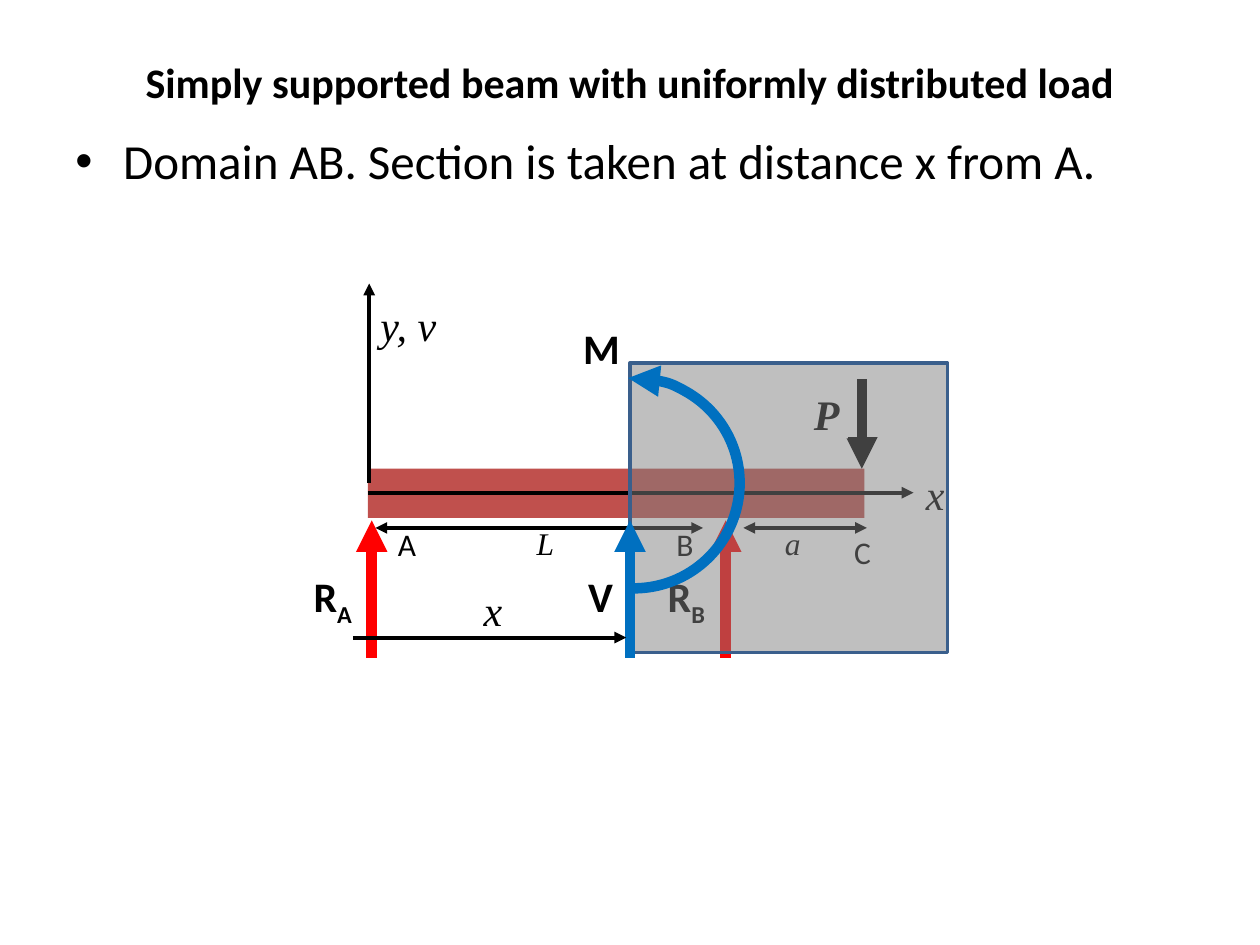
import pptx
import pptx.util
import pptx.dml.color
import pptx.enum.shapes
import pptx.enum.text
import pptx.oxml
from lxml import etree

Inches = pptx.util.Inches
Pt = pptx.util.Pt
KIND = pptx.enum.shapes.MSO_SHAPE
ALIGN = pptx.enum.text.PP_ALIGN
ANCHOR = pptx.enum.text.MSO_ANCHOR
SANS, SERIF = "Calibri", "Times New Roman"
BLACK, RED, BLUE = "000000", "FF0000", "0070C0"


def paint(fmt, color):
    """Give a fill, line fill or font fill a solid colour."""
    fmt.solid()
    fmt.fore_color.rgb = pptx.dml.color.RGBColor.from_string(color)


def style(run, size, face=SANS, bold=False, italic=False):
    """Format one run in black."""
    font = run.font
    font.size, font.name = Pt(size), face
    font.bold, font.italic = bold, italic
    paint(font.fill, BLACK)


def stroke(shape, color, width, **ends):
    """Set a line's colour, width and arrowheads (headEnd, tailEnd)."""
    paint(shape.line.fill, color)
    shape.line.width = Pt(width)
    line = shape.line._get_or_add_ln()
    for name in sorted(ends):
        etree.SubElement(line, pptx.oxml.ns.qn("a:" + name), type=ends[name])


def title(slide, box, text):
    """Place and format the title."""
    head = slide.shapes.title
    head.left, head.top, head.width, head.height = map(Inches, box)
    frame = head.text_frame
    frame.text = text
    frame.vertical_anchor = ANCHOR.MIDDLE
    frame.paragraphs[0].alignment = ALIGN.CENTER
    style(frame.paragraphs[0].runs[0], 24, bold=True)


def body(slide, box, text):
    """Place the bulleted statement."""
    frame = slide.shapes.add_textbox(*map(Inches, box)).text_frame
    frame.word_wrap = True
    para = frame.paragraphs[0]
    para.text = text
    para.space_before = Pt(5.6)
    style(para.runs[0], 28)
    props = para._p.get_or_add_pPr()
    props.set("marL", str(Inches(0.38)))
    props.set("indent", str(Inches(-0.38)))
    etree.SubElement(props, pptx.oxml.ns.qn("a:buFont"), typeface="Arial")
    etree.SubElement(props, pptx.oxml.ns.qn("a:buChar"), char="•")


def beam(slide, box):
    """Draw the beam, its forces and the cut section inside a box."""
    left, top = box[:2]
    shapes = slide.shapes.add_group_shape().shapes

    def arrow(x1, y1, x2, y2, color=BLACK, width=2.25, both=False):
        """Add an arrow, with two heads for a dimension."""
        link = shapes.add_connector(
            pptx.enum.shapes.MSO_CONNECTOR.STRAIGHT,
            Inches(left + x1), Inches(top + y1),
            Inches(left + x2), Inches(top + y2))
        ends = {"headEnd": "triangle"} if both else {}
        stroke(link, color, width, tailEnd="triangle", **ends)
        etree.SubElement(link._element.spPr, pptx.oxml.ns.qn("a:effectLst"))

    def form(kind, x, y, wide, high, fill=None):
        """Add a preset shape without shadow or outline."""
        shape = shapes.add_shape(kind, Inches(left + x), Inches(top + y),
                                 Inches(wide), Inches(high))
        shape.shadow.inherit = False
        shape.line.fill.background()
        if fill:
            paint(shape.fill, fill)
        else:
            shape.fill.background()
        return shape

    def label(text, x, y, size=18, wide=0.39, sub="", **look):
        """Add a short label with an optional subscript."""
        item = shapes.add_textbox(Inches(left + x), Inches(top + y),
                                  Inches(wide), Inches(size / 60 + 0.1))
        item.text_frame.word_wrap = True
        para = item.text_frame.paragraphs[0]
        para.text = text
        if sub:
            para.add_run().text = sub
            para.runs[1].font._element.set("baseline", "-25000")
        for run in para.runs:
            style(run, size, **look)

    def force(x, color):
        """Add an upward force below the beam."""
        arrow(x, 3.22, x, 2.13, color, 6)

    math = {"face": SERIF, "italic": True}
    for x, sub in ((0.95, "A"), (3.76, "B")):
        force(x, RED)
        label("R", x - 0.56, 2.48, 24, 0.59, sub, bold=True)
    form(KIND.RECTANGLE, 0.92, 1.72, 3.94, 0.39, "C0504D")
    for text, x, y in (("A", 1.06, 2.12), ("B", 3.27, 2.12), ("C", 4.68, 2.18)):
        label(text, x, y)

    arrow(4.84, 1.01, 4.84, 1.72, width=6)
    load = form(KIND.RECTANGLE, 4.38, 1.08, 0.35, 0.4, "FFFFFF").text_frame
    load.text = "P"
    load.margin_left = Inches(0.08)
    load.margin_top = load.margin_right = load.margin_bottom = 0
    load.vertical_anchor = ANCHOR.TOP
    load.paragraphs[0].alignment = ALIGN.LEFT
    style(load.paragraphs[0].runs[0], 24, bold=True, **math)

    for text, x, start, end in (("L", 2.16, 0.98, 3.58), ("a", 4.13, 3.9, 4.88)):
        arrow(start, 2.19, end, 2.19, both=True)
        label(text, x, 2.11, **math)
    arrow(0.93, 1.83, 0.93, 0.25)
    arrow(0.92, 1.91, 5.25, 1.91)
    label("y, v", 0.92, 0.33, 24, 0.79, **math)
    label("x", 5.25, 1.67, 24, **math)

    mask = form(KIND.RECTANGLE, 3, 0.88, 2.52, 2.3, "808080")
    tint = mask._element.spPr.find(".//" + pptx.oxml.ns.qn("a:srgbClr"))
    etree.SubElement(tint, pptx.oxml.ns.qn("a:alpha"), val="50000")
    stroke(mask, "3A5F8C", 2)

    force(3, BLUE)
    moment = form(KIND.ARC, 2.19, 1, 1.68, 1.67)
    moment.adjustments[0] = 160.2
    moment.adjustments[1] = 54.2
    stroke(moment, BLUE, 6, headEnd="triangle")
    label("V", 2.57, 2.48, 24, 0.59, bold=True)
    label("M", 2.53, 0.51, 24, 0.63, bold=True)
    arrow(0.8, 3.06, 2.97, 3.06)
    label("x", 1.74, 2.59, 24, **math)


deck = pptx.Presentation()
deck.slide_width, deck.slide_height = Inches(10), Inches(7.5)
page = deck.slides.add_slide(deck.slide_layouts[5])
title(page, (0.5, 0.3, 9, 0.69),
      "Simply supported beam with uniformly distributed load")
body(page, (0.5, 0.99, 9, 5.71),
     "Domain AB. Section is taken at distance x from A.")
beam(page, (2, 2, 6, 3.5))
deck.save("out.pptx")
